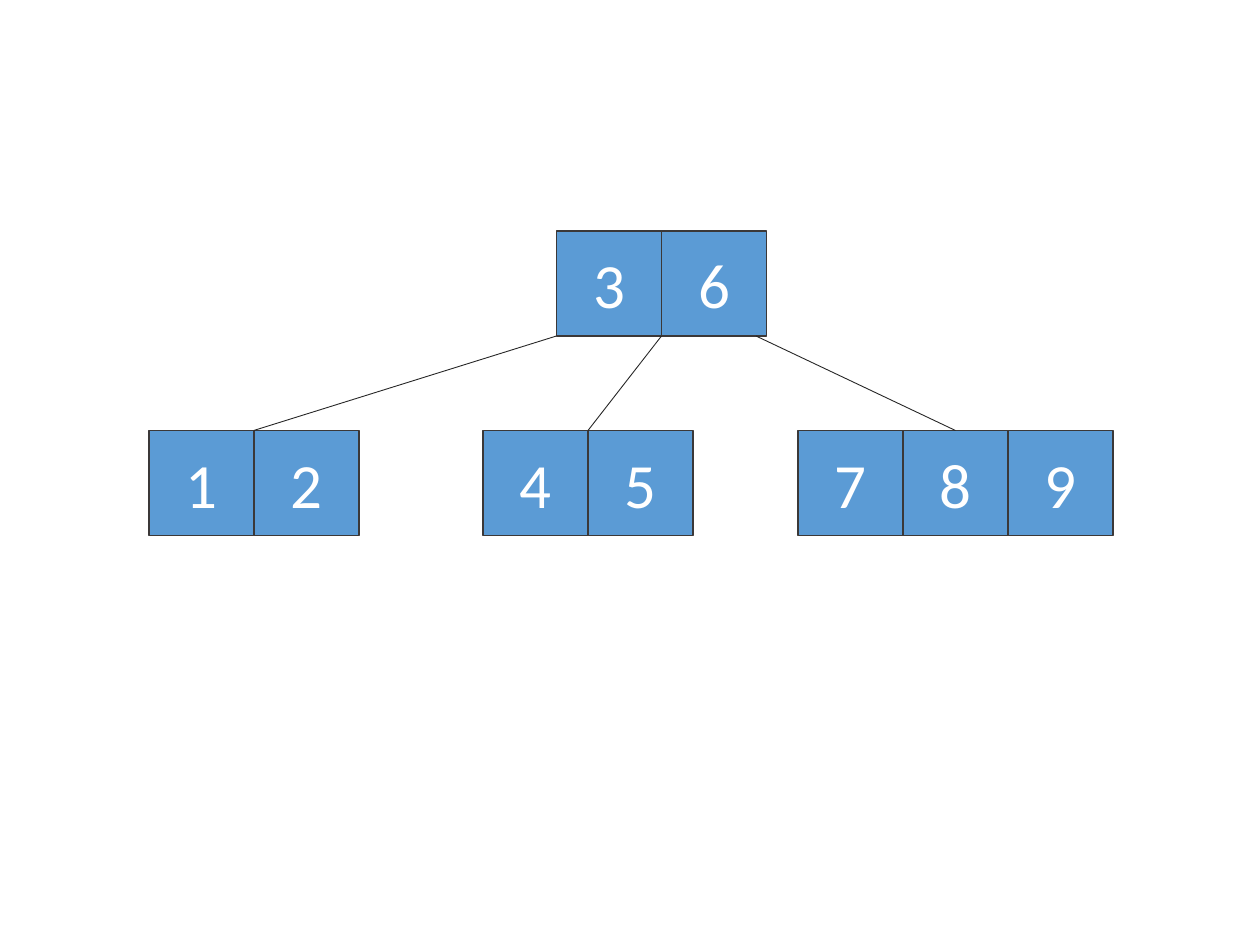
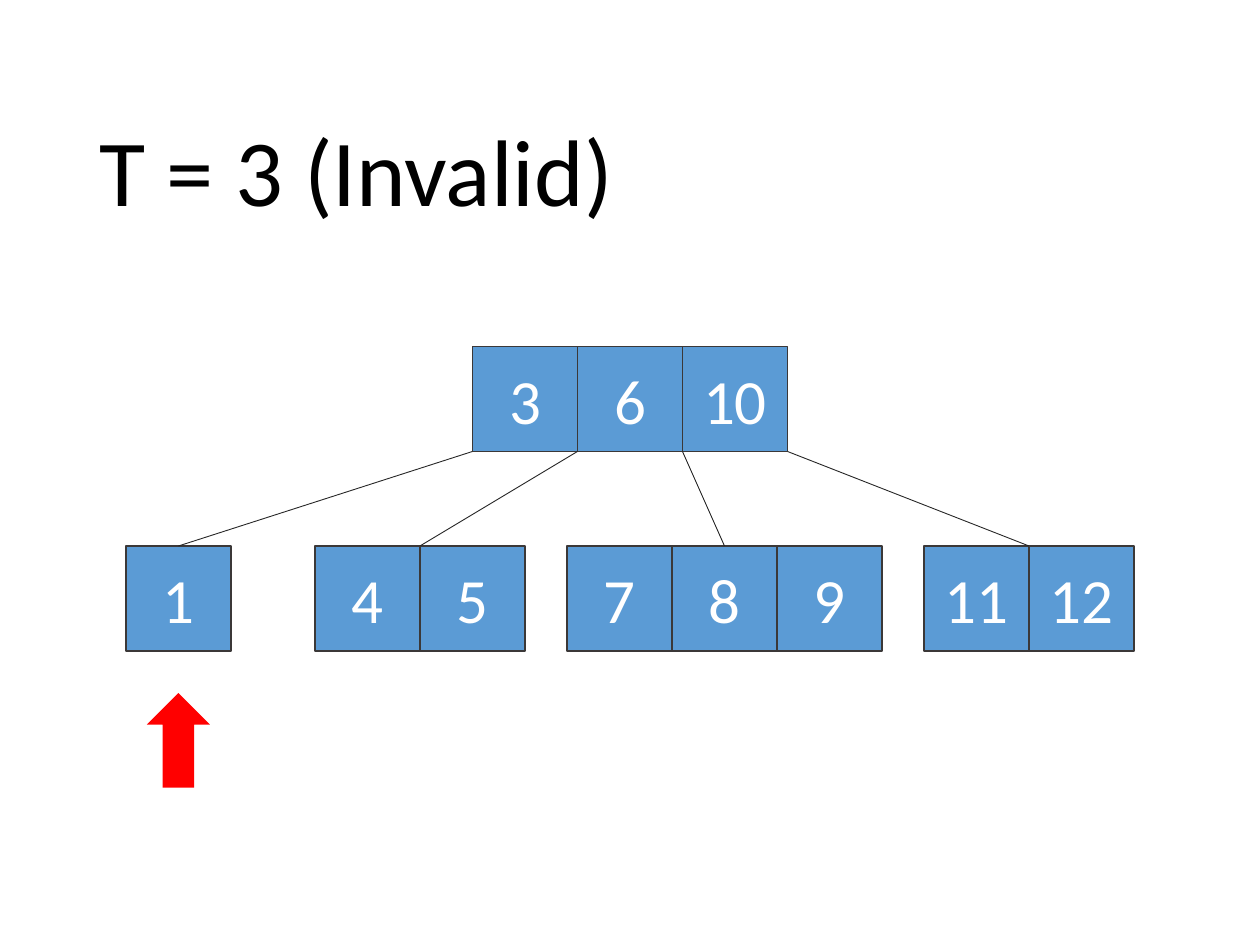
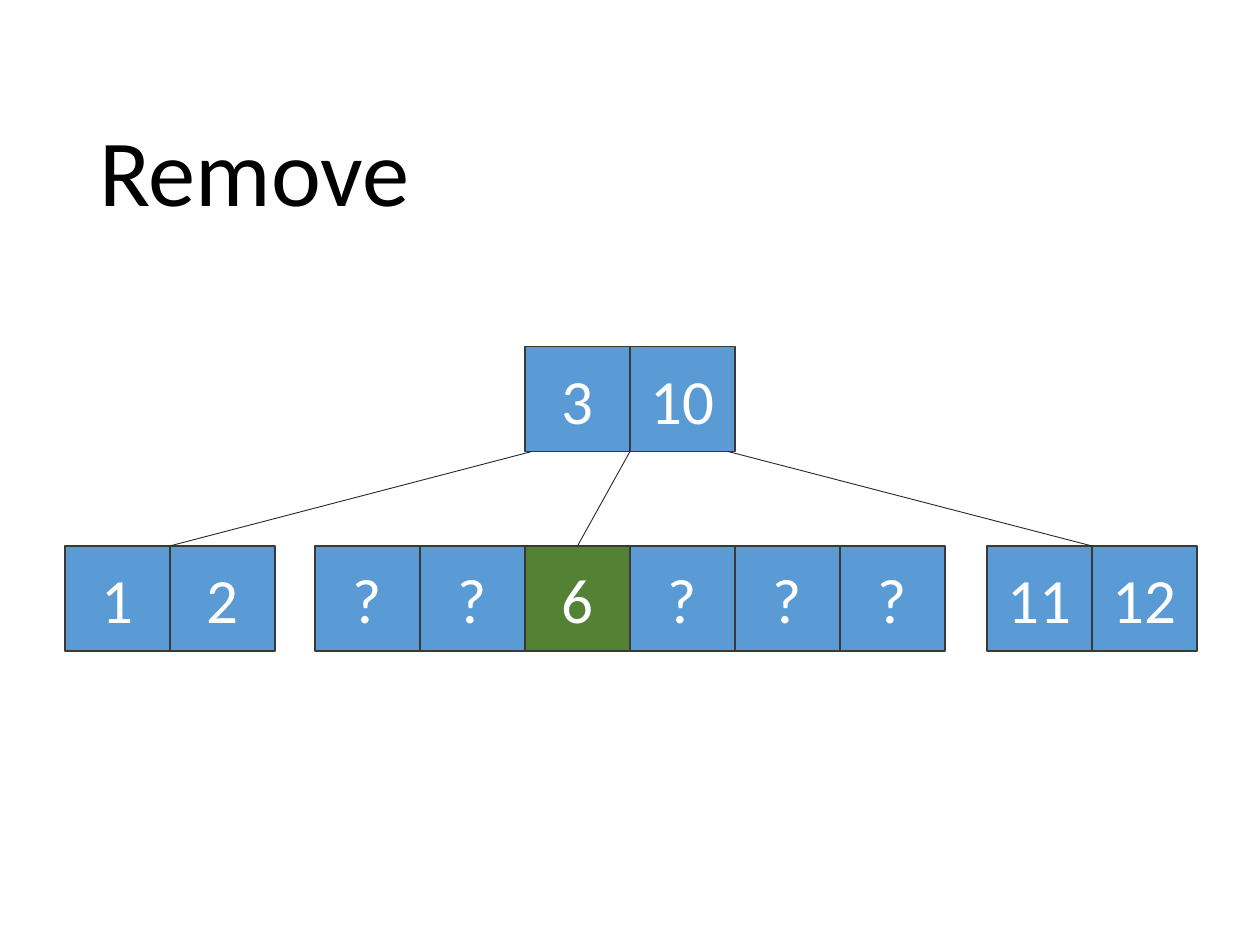
from pptx import Presentation
from pptx.dml.color import RGBColor
from pptx.enum import shapes, text
from pptx.oxml.ns import qn
from pptx.util import Pt

BLUE, GREEN, RED = "5B9BD5", "548235", "FF0000"
BORDER, EDGE, WHITE, BLACK = "3B3838", "262626", "FFFFFF", "000000"
FONT = "Calibri"
CELL, LEVEL = 60, 114


def paint(fmt, color):
    if hasattr(fmt, "solid"):
        fmt.solid()
        fmt = fmt.fore_color
    fmt.rgb = RGBColor.from_string(color)


def add_node(slide, left, top, keys, marked=None):
    for i, key in enumerate(keys):
        sp = slide.shapes.add_shape(shapes.MSO_SHAPE.RECTANGLE,
                                    Pt(left + i * CELL), Pt(top), Pt(CELL), Pt(CELL))
        sp.shadow.inherit = False
        paint(sp.fill, GREEN if key == marked else BLUE)
        paint(sp.line.color, BORDER)
        sp.line.width = Pt(1)
        tf = sp.text_frame
        tf.vertical_anchor = text.MSO_ANCHOR.MIDDLE
        p = tf.paragraphs[0]
        p.text = key
        p.alignment = text.PP_ALIGN.CENTER
        p.font.name, p.font.size = FONT, Pt(36)
        paint(p.font.color, WHITE)


# title, marked key, root (left, top, keys), children (left, keys, edge start x, edge end x)
trees = [
    (None, None, (318, 132, "3 6"),
     [(85, "1 2", 318, 145), (276, "4 5", 378, 336), (456, "7 8 9", 432, 546)]),
    ("T = 3 (Invalid)", None, (270, 198, "3 6 10"),
     [(72, "1", 270, 102), (180, "4 5", 330, 240),
      (324, "7 8 9", 390, 414), (528, "11 12", 450, 588)]),
    ("Remove", "6", (300, 198, "3 10"),
     [(37, "1 2", 304, 97), (180, "? ? 6 ? ? ?", 360, 330), (564, "11 12", 416, 624)]),
]

prs = Presentation()
prs.slide_width, prs.slide_height = Pt(720), Pt(540)

for title, marked, (root_left, top, root_keys), children in trees:
    s = prs.slides.add_slide(prs.slide_layouts[5 if title else 6])
    add_node(s, root_left, top, root_keys.split())
    for left, keys, start, end in children:
        add_node(s, left, top + LEVEL, keys.split(), marked)
    for left, keys, start, end in children:
        cx = s.shapes.add_connector(shapes.MSO_CONNECTOR.STRAIGHT,
                                    Pt(start), Pt(top + CELL), Pt(end), Pt(top + LEVEL))
        paint(cx.line.color, EDGE)
        cx.line.width = Pt(0.5)
        sp_pr = cx._element.spPr
        sp_pr.append(sp_pr.makeelement(qn("a:effectLst"), {}))
    if title:
        sp = s.shapes.title
        sp.left, sp.top, sp.width, sp.height = Pt(49.5), Pt(29), Pt(621), Pt(104.4)
        tf = sp.text_frame
        tf.auto_size = text.MSO_AUTO_SIZE.NONE
        tf.vertical_anchor = text.MSO_ANCHOR.BOTTOM
        p = tf.paragraphs[0]
        p.text = title
        p.alignment = text.PP_ALIGN.LEFT
        p.line_spacing = 0.9
        p.font.name, p.font.size = FONT, Pt(54)
        paint(p.font.color, BLACK)

arrow = prs.slides[1].shapes.add_shape(shapes.MSO_SHAPE.UP_ARROW,
                                       Pt(84), Pt(396), Pt(36), Pt(54))
arrow.shadow.inherit = False
paint(arrow.fill, RED)
arrow.line.fill.background()

prs.save("out.pptx")
